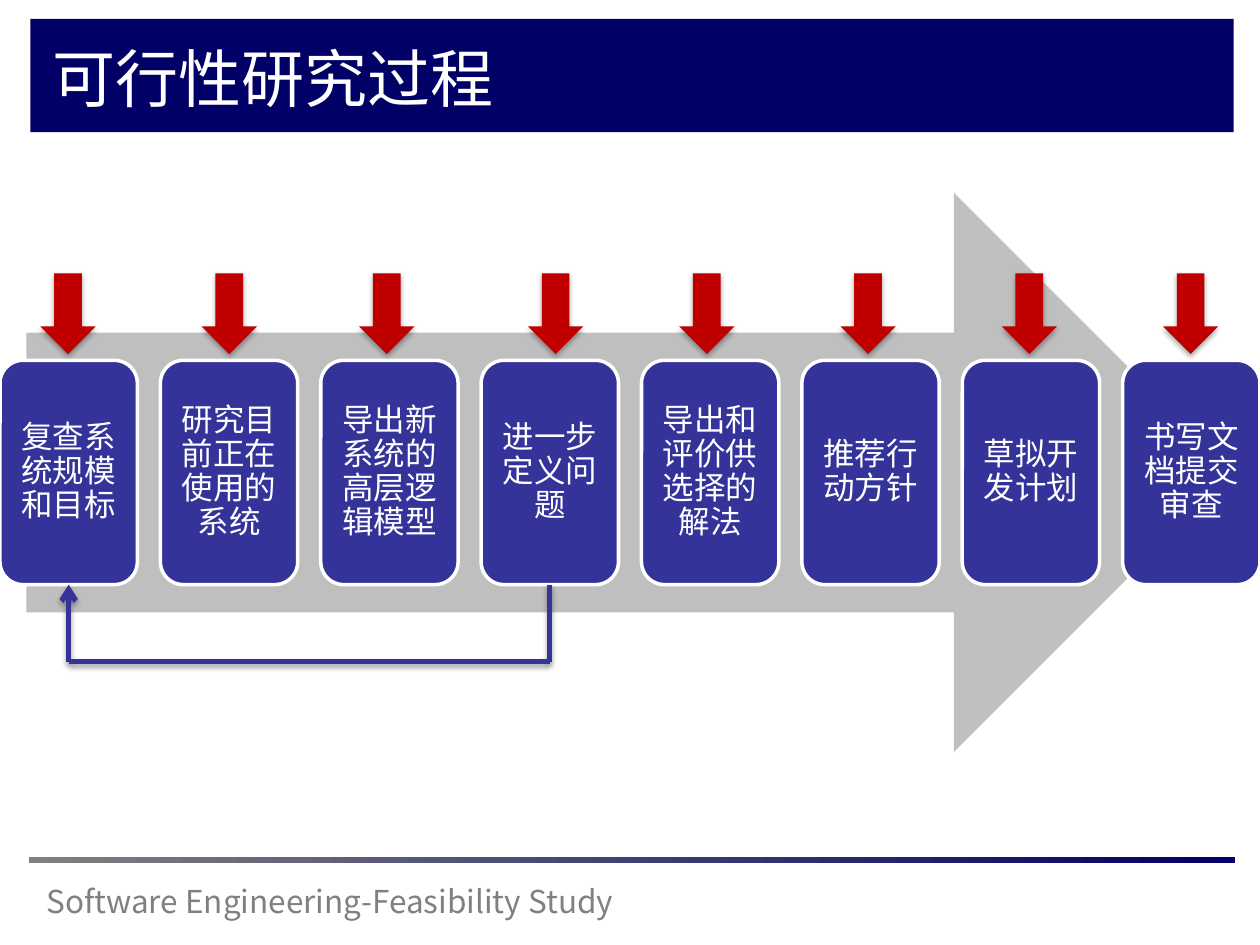
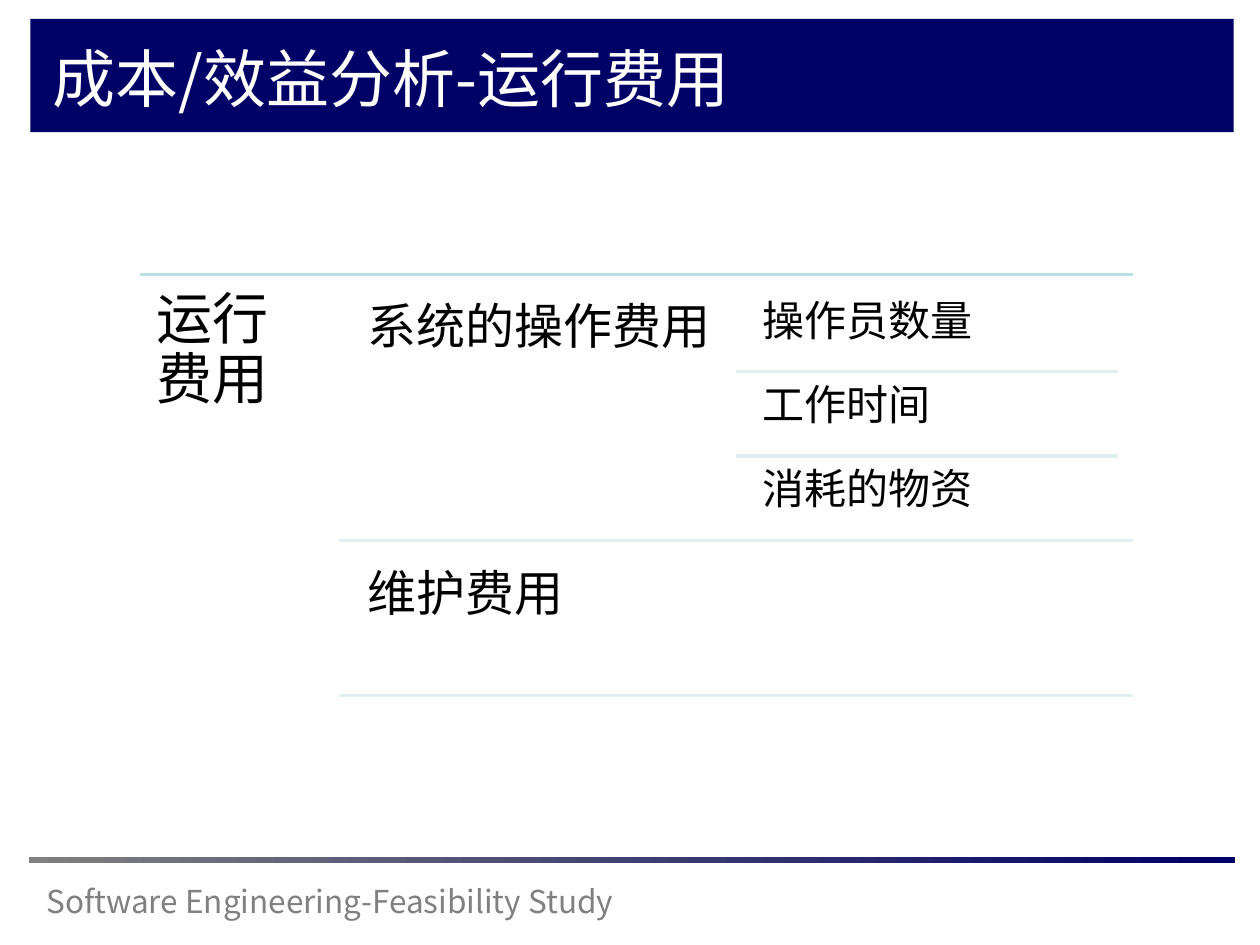
from lxml import etree
from pptx import Presentation
from pptx.dml.color import RGBColor
from pptx.enum.shapes import MSO_CONNECTOR, MSO_SHAPE
from pptx.enum.text import MSO_ANCHOR, MSO_AUTO_SIZE, PP_ALIGN
from pptx.oxml.ns import qn
from pptx.util import Inches, Pt

FONT = "Noto Sans CJK SC"
NAVY = RGBColor(0x00, 0x00, 0x66)
BLUE = RGBColor(0x33, 0x33, 0x99)
RED = RGBColor(0xC0, 0x00, 0x00)
GRAY = RGBColor(0x80, 0x80, 0x80)
SILVER = RGBColor(0xBF, 0xBF, 0xBF)
TEAL = RGBColor(0xBB, 0xE0, 0xE3)
PALE = RGBColor(0xE0, 0xF0, 0xF2)
WHITE = RGBColor(0xFF, 0xFF, 0xFF)
BLACK = RGBColor(0x00, 0x00, 0x00)

LEFT, CENTER = PP_ALIGN.LEFT, PP_ALIGN.CENTER
TOP, MIDDLE = MSO_ANCHOR.TOP, MSO_ANCHOR.MIDDLE
RECT, ROUND = MSO_SHAPE.RECTANGLE, MSO_SHAPE.ROUNDED_RECTANGLE
RIGHT, DOWN = MSO_SHAPE.RIGHT_ARROW, MSO_SHAPE.DOWN_ARROW
STRAIGHT = MSO_CONNECTOR.STRAIGHT
TOP_SIDE, BOTTOM_SIDE = 0, 2

# The page is a grid of 100 columns by 75 rows; boxes are left, top, width, height.
UNIT = Inches(0.1)
PAGE = (0, 0, 100, 75)
FLOW = (0, 15.3, 100, 44.4)
TREE = (11.1, 21.8, 78.8, 34.4)

STEPS = ["复查系统规模和目标", "研究目前正在使用的系统", "导出新系统的高层逻辑模型",
         "进一步定义问题", "导出和评价供选择的解法", "推荐行动方针",
         "草拟开发计划", "书写文档提交审查"]
MARKS = [3.2, 16, 28.5, 41.9, 53.9, 66.7, 79.5, 92.3]
ITEMS = ["操作员数量", "工作时间", "消耗的物资"]


def spot(box, x, y):
    """Turn a grid point inside a box into slide lengths."""
    return int((box[0] + x) * UNIT), int((box[1] + y) * UNIT)


def area(box, x, y, wide, high):
    return *spot(box, x, y), int(wide * UNIT), int(high * UNIT)


def write(shape, text, size=18, color=BLACK, align=LEFT, anchor=TOP,
          inset=None, space=None):
    frame = shape.text_frame
    frame.word_wrap = True
    frame.auto_size = MSO_AUTO_SIZE.NONE
    frame.vertical_anchor = anchor
    if inset is not None:
        frame.margin_left = frame.margin_right = Inches(inset)
        frame.margin_top = frame.margin_bottom = Inches(inset)
    para = frame.paragraphs[0]
    para.alignment = align
    para.line_spacing = space
    run = para.add_run()
    run.text = text
    run.font.size = Pt(size)
    run.font.color.rgb = color
    run.font.name = FONT
    latin = run.font._element.find(qn("a:latin"))
    east = etree.Element(qn("a:ea"), typeface=FONT)
    latin.addnext(east)


def label(slide, place, text, **style):
    shape = slide.shapes.add_textbox(*place)
    write(shape, text, **style)
    return shape


def effect(shape, shade):
    """Give a shape a soft shadow below it, or none at all."""
    node = etree.SubElement(shape.element.spPr, qn("a:effectLst"))
    if shade:
        soft = etree.SubElement(node, qn("a:outerShdw"), blurRad="40000",
                                dist="23000", dir="5400000", rotWithShape="0")
        tone = etree.SubElement(soft, qn("a:srgbClr"), val="000000")
        etree.SubElement(tone, qn("a:alpha"), val="35000")


def solid(slide, kind, place, fill, edge=None, shade=False):
    shape = slide.shapes.add_shape(kind, *place)
    shape.fill.solid()
    shape.fill.fore_color.rgb = fill
    if edge is None:
        shape.line.fill.background()
    else:
        shape.line.color.rgb = edge
        shape.line.width = Pt(2)
    effect(shape, shade)
    return shape


def rule(slide, start, end, color, width=2, arrow=False, shade=False):
    line = slide.shapes.add_connector(STRAIGHT, *start, *end)
    line.line.color.rgb = color
    line.line.width = Pt(width)
    if arrow:
        etree.SubElement(line.line._get_or_add_ln(), qn("a:tailEnd"), type="arrow")
    effect(line, shade)
    return line


def frame(slide, layout, box):
    """Draw the title band and footer, then hand them to the layout."""
    band = solid(slide, RECT, area(box, 2.4, 1.5, 95.5, 9), NAVY)
    foot = label(slide, area(box, 2.7, 69.5, 51.7, 4),
                 "Software Engineering-Feasibility Study", color=GRAY)
    bar = solid(slide, RECT, area(box, 2.3, 68, 95.7, 0.5), GRAY)
    bar.fill.gradient()
    bar.fill.gradient_angle = 0
    for stop, color in zip(bar.fill.gradient_stops, (GRAY, NAVY)):
        stop.color.rgb = color
    for part in (band, foot, bar):
        layout.shapes.element.append(part.element)


def head(slide, text, box):
    title = slide.shapes.title
    title.left, title.top, title.width, title.height = area(box, 3.2, 2.6, 88.1, 7.4)
    write(title, text, size=36, color=WHITE)


def flow(slide, box):
    """Draw the steps on a broad arrow, with marks and a way back."""
    solid(slide, RIGHT, area(box, 2.1, 0, 95.8, 44.4), SILVER)
    wide, high, top = 10.9, 17.8, 13.3
    pitch = (box[2] - wide) / (len(STEPS) - 1)
    cards = []
    for i, text in enumerate(STEPS):
        card = solid(slide, ROUND, area(box, i * pitch, top, wide, high), BLUE, WHITE)
        write(card, text, color=WHITE, align=CENTER, anchor=MIDDLE,
              inset=0.07, space=0.9)
        cards.append(card)
    loop(slide, box, cards[3], cards[0], 37.2)
    for x in MARKS:
        solid(slide, DOWN, area(box, x, 6.4, 4.4, 6.4), RED, shade=True)


def loop(slide, box, source, target, low):
    """Lead from the bottom of one card back to that of an earlier one."""
    style = dict(color=BLUE, width=3, shade=True)
    floor = spot(box, 0, low)[1]
    near, far = ((card.left + card.width // 2, floor) for card in (source, target))
    rise = rule(slide, far, far, arrow=True, **style)
    rise.end_connect(target, BOTTOM_SIDE)
    drop = rule(slide, near, near, **style)
    drop.begin_connect(source, BOTTOM_SIDE)
    rule(slide, near, far, **style)


def tree(slide, box):
    """Draw a root, its branches and their leaves, set apart by rules."""
    wide, step = 30.3, 6.7
    branch, leaf = 15.8, 47.3
    rule(slide, spot(box, 0, 0), spot(box, box[2], 0), TEAL)
    label(slide, area(box, 0, 0, branch, box[3]), "运行费用",
          size=32, inset=0.13, space=0.9)
    for text, y, high, end in (("系统的操作费用", 1, 20.2, 21.1),
                               ("维护费用", 22.2, 11.2, 33.4)):
        label(slide, area(box, branch + 1.1, y, wide, high), text,
              size=28, inset=0.12, space=0.9)
        rule(slide, spot(box, branch, end), spot(box, box[2], end), PALE)
    for i, text in enumerate(ITEMS):
        y = 1 + i * step
        label(slide, area(box, leaf + 1.1, y, wide, step), text,
              size=24, inset=0.1, space=0.9)
        if i:
            rule(slide, spot(box, leaf, y), spot(box, leaf + wide, y), PALE)


def main():
    deck = Presentation()
    deck.slide_width, deck.slide_height = PAGE[2] * UNIT, PAGE[3] * UNIT
    layout = deck.slide_layouts[5]
    pages = (("可行性研究过程", flow, FLOW), ("成本/效益分析-运行费用", tree, TREE))
    for i, (text, draw, box) in enumerate(pages):
        slide = deck.slides.add_slide(layout)
        if i == 0:
            frame(slide, layout, PAGE)
        head(slide, text, PAGE)
        draw(slide, box)
    deck.save("out.pptx")


if __name__ == "__main__":
    main()
